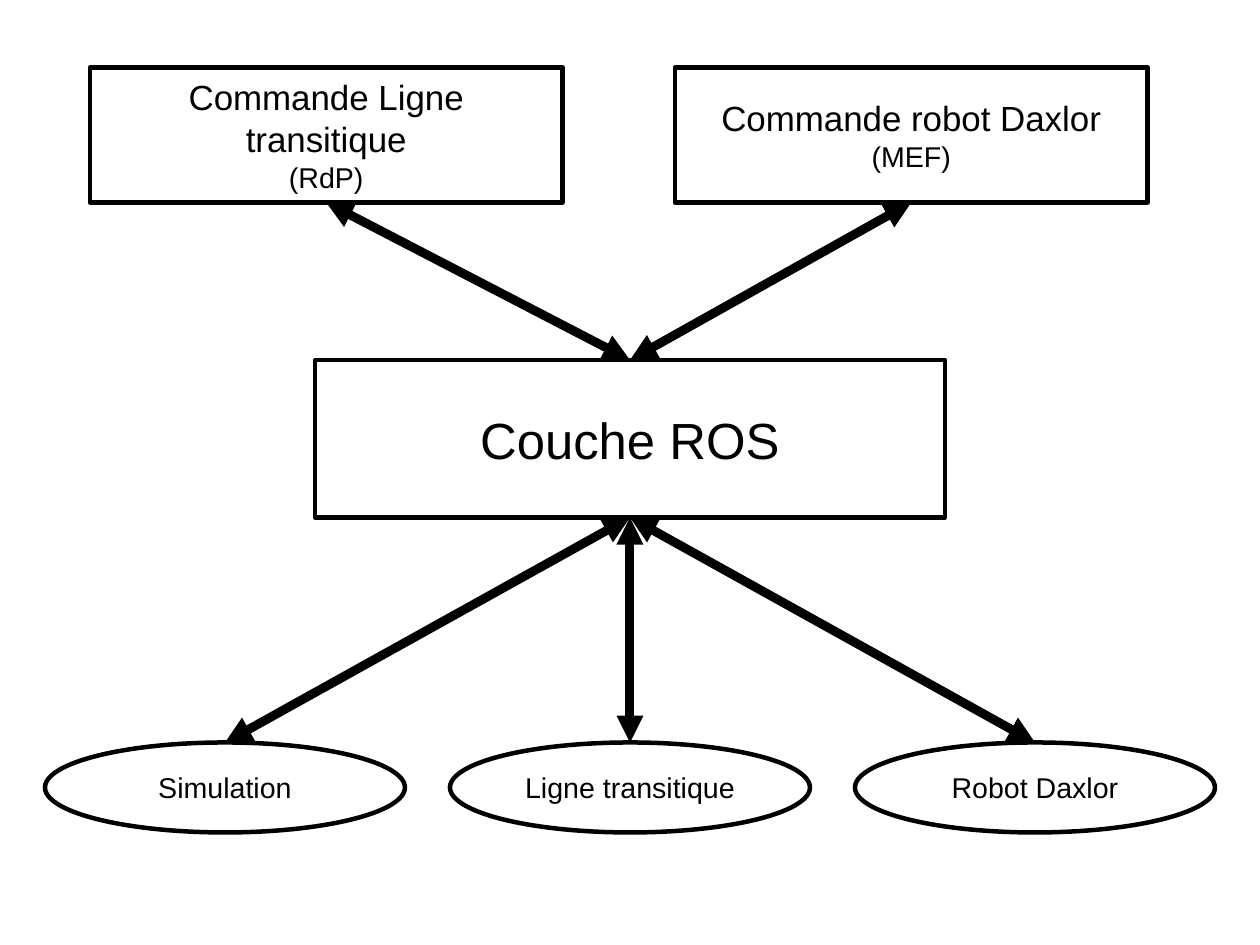
from lxml.etree import SubElement
from pptx import Presentation
from pptx.dml.color import RGBColor
from pptx.enum.shapes import MSO_CONNECTOR, MSO_SHAPE
from pptx.enum.text import MSO_ANCHOR, PP_ALIGN
from pptx.oxml.ns import qn
from pptx.util import Emu, Pt

PX = 9000  # 40 px to the centimetre
BLACK = "000000"
TOP, BOTTOM = 0, 2


def color(hex_string):
    return RGBColor.from_string(hex_string)


def add_node(slide, kind, box, lines):
    shape = slide.shapes.add_shape(kind, *[Emu(length * PX) for length in box])
    shape.shadow.inherit = False
    shape.fill.background()
    shape.line.color.rgb = color(BLACK)
    shape.line.width = Pt(2.83)
    frame = shape.text_frame
    frame.word_wrap = True
    frame.vertical_anchor = MSO_ANCHOR.MIDDLE
    frame.margin_left = frame.margin_right = Emu(12 * PX)
    frame.margin_top = frame.margin_bottom = Emu(7 * PX)
    for index, (text, size) in enumerate(lines):
        paragraph = frame.add_paragraph() if index else frame.paragraphs[0]
        paragraph.text = text
        paragraph.alignment = PP_ALIGN.CENTER
        paragraph.font.name = "Arial"
        paragraph.font.size = Pt(size)
        paragraph.font.color.rgb = color(BLACK)
    return shape


presentation = Presentation()
presentation.slide_width = Emu(1120 * PX)
presentation.slide_height = Emu(840 * PX)
slide = presentation.slides.add_slide(presentation.slide_layouts[6])

# Middle layer
ros_layer = add_node(slide, MSO_SHAPE.RECTANGLE, (280, 320, 560, 140), [("Couche ROS", 32)])

# Command boxes above, joined to the top of the layer
links = []
commands = [("Commande Ligne transitique", "(RdP)"), ("Commande robot Daxlor", "(MEF)")]
for index, (title, model) in enumerate(commands):
    box = (80 + 520 * index, 60, 420, 120)
    command = add_node(slide, MSO_SHAPE.RECTANGLE, box, [(title, 22), (model, 18)])
    links.append((ros_layer, TOP, command, BOTTOM))

# Targets below, joined to the bottom of the layer
for index, name in enumerate(["Simulation", "Ligne transitique", "Robot Daxlor"]):
    box = (40 + 360 * index, 660, 320, 80)
    target = add_node(slide, MSO_SHAPE.OVAL, box, [(name, 18)])
    links.append((target, TOP, ros_layer, BOTTOM))

# Two-way arrows
for start, start_site, end, end_site in links:
    connector = slide.shapes.add_connector(MSO_CONNECTOR.STRAIGHT, 0, 0, 0, 0)
    connector.begin_connect(start, start_site)
    connector.end_connect(end, end_site)
    connector.line.color.rgb = color(BLACK)
    connector.line.width = Pt(5.67)
    line = connector.line._get_or_add_ln()
    for tag in ("a:headEnd", "a:tailEnd"):
        SubElement(line, qn(tag), type="triangle")
    SubElement(connector._element.spPr, qn("a:effectLst"))

presentation.save("out.pptx")
